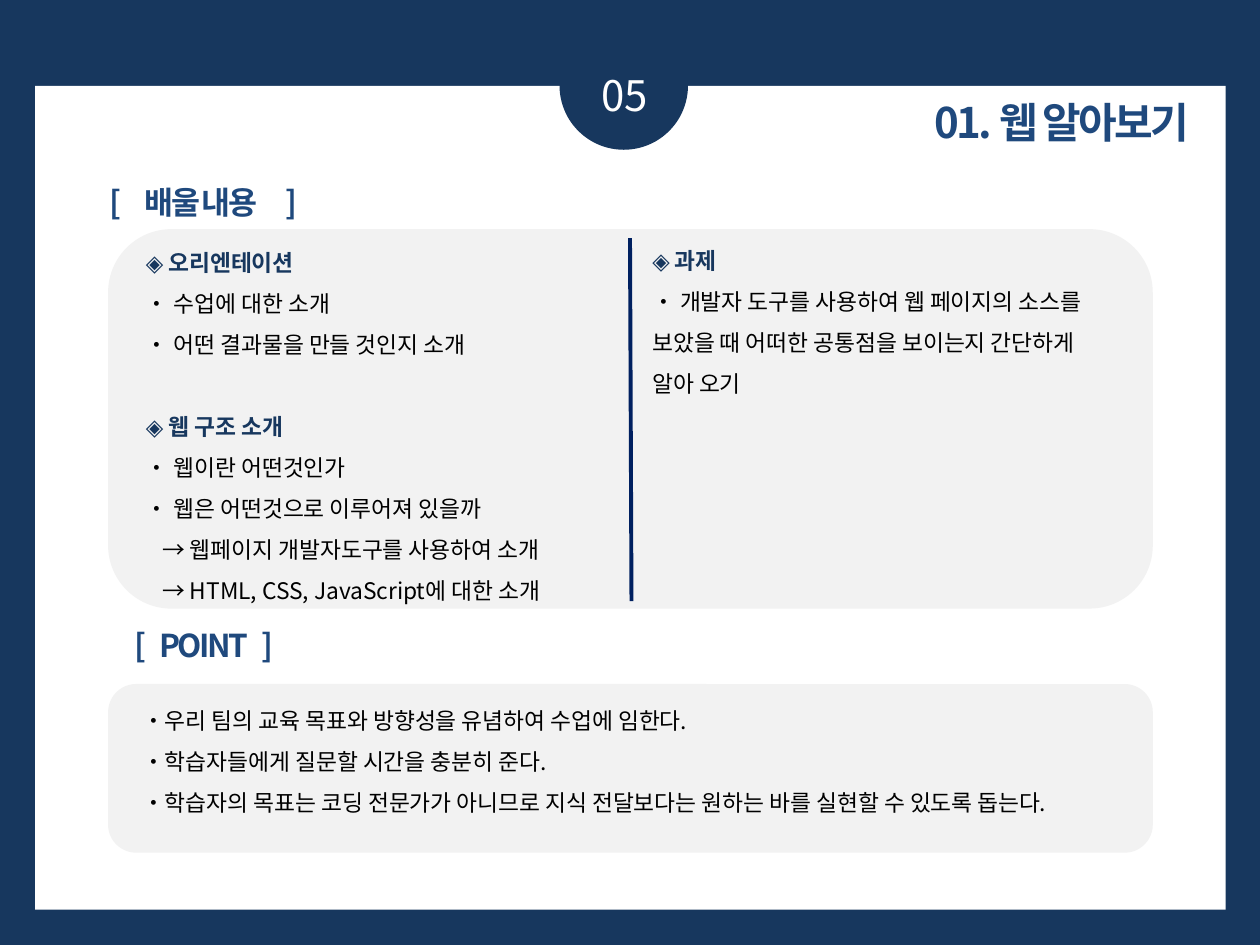
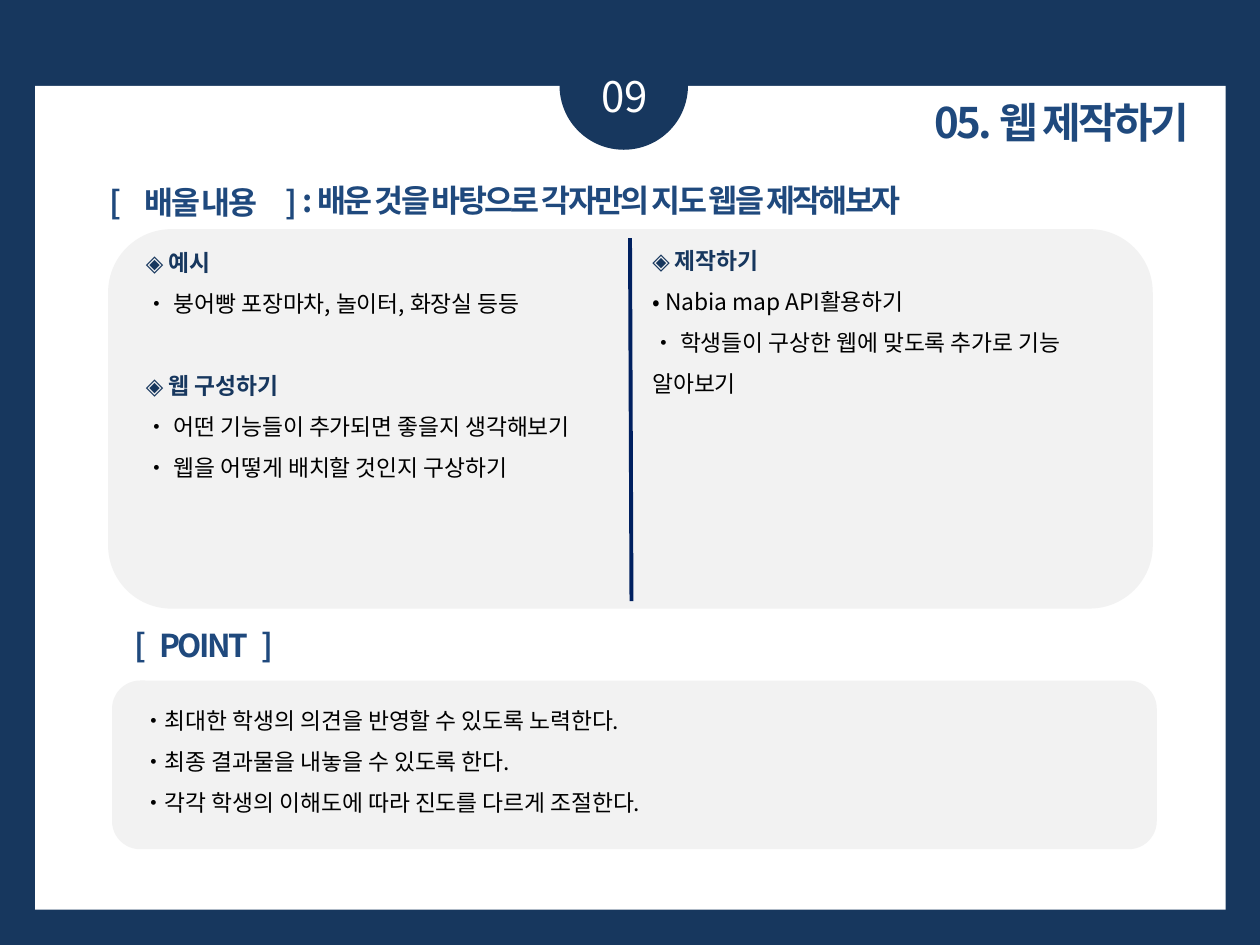
from dataclasses import dataclass

from lxml import etree
from pptx import Presentation
from pptx.dml.color import RGBColor
from pptx.enum.shapes import MSO_CONNECTOR, MSO_SHAPE
from pptx.enum.text import MSO_AUTO_SIZE, PP_ALIGN
from pptx.oxml.ns import qn
from pptx.util import Cm, Pt

RECT = MSO_SHAPE.RECTANGLE
ROUND = MSO_SHAPE.ROUNDED_RECTANGLE
OVAL = MSO_SHAPE.OVAL
STRAIGHT = MSO_CONNECTOR.STRAIGHT
CENTER, LEFT = PP_ALIGN.CENTER, PP_ALIGN.LEFT
GROW = MSO_AUTO_SIZE.SHAPE_TO_FIT_TEXT


@dataclass(frozen=True)
class Theme:
    """Colours, font and type sizes shared by the slides."""
    navy: str = "17375E"
    blue: str = "1F497D"
    rule: str = "002060"
    paper: str = "FFFFFF"
    panel: str = "F2F2F2"
    ink: str = "000000"
    font: str = "Noto Sans CJK KR"
    title: float = 24
    heading: float = 18
    body: float = 13
    tight: float = -1.5
    leading: float = 1.5
    section_gap: float = 23.4


@dataclass(frozen=True)
class Box:
    """Position and size in centimetres."""
    x: float
    y: float
    w: float
    h: float

    def emu(self) -> tuple:
        """Return the four lengths for python-pptx."""
        return Cm(self.x), Cm(self.y), Cm(self.w), Cm(self.h)


@dataclass(frozen=True)
class Style:
    """Character style of a run."""
    size: float
    color: str
    bold: bool = False
    spacing: float = 0


@dataclass(frozen=True)
class Section:
    """A topic with its bullets and indented details."""
    topic: str
    bullets: tuple
    details: tuple = ()


@dataclass(frozen=True)
class Lesson:
    """Everything that differs between lesson slides."""
    number: str
    number_y: float
    title: str
    goal: str
    left: tuple
    right: tuple
    points: tuple
    point_panel: Box


THEME = Theme()
TITLE = Style(THEME.title, THEME.blue, True, THEME.tight)
HEADING = Style(THEME.heading, THEME.blue, True, THEME.tight)
NUMBER = Style(THEME.title, THEME.paper)
TOPIC = Style(THEME.body, THEME.navy, True)
BODY = Style(THEME.body, THEME.ink)

PAPER = Box(0.71, 1.73, 24, 16.61)
BADGE = Box(11.28, 0.43, 2.59, 2.59)
TITLE_BOX = Box(15.6, 1.83, 11.61, 1.27)
CONTENT_HEADING = Box(-1.7, 3.56, 11.61, 1.02)
POINT_HEADING = Box(-1.7, 12.5, 11.61, 1.02)
GOAL_BOX = Box(5.31, 3.53, 13.64, 1.02)
CONTENT_PANEL = Box(2.18, 4.62, 21.06, 7.65)
LEFT_COLUMN = Box(2.69, 4.62, 9.68, 8.48)
RIGHT_COLUMN = Box(12.9, 4.57, 9.68, 4.32)
POINT_BOX = Box(2.62, 13.84, 20.09, 3.5)
DETAIL_INDENT = 0.33

LESSONS = (
    Lesson(
        "05", 1.27, "01. 웹 알아보기", "",
        (
            Section("오리엔테이션", ("수업에 대한 소개", "어떤 결과물을 만들 것인지 소개")),
            Section(
                "웹 구조 소개",
                ("웹이란 어떤것인가", "웹은 어떤것으로 이루어져 있을까"),
                ("웹페이지 개발자도구를 사용하여 소개", "HTML, CSS, JavaScript에 대한 소개"),
            ),
        ),
        (Section("과제", ("개발자 도구를 사용하여 웹 페이지의 소스를 보았을 때 "
                        "어떠한 공통점을 보이는지 간단하게 알아 오기",)),),
        (
            "우리 팀의 교육 목표와 방향성을 유념하여 수업에 임한다.",
            "학습자들에게 질문할 시간을 충분히 준다.",
            "학습자의 목표는 코딩 전문가가 아니므로 지식 전달보다는 원하는 바를 실현할 수 있도록 돕는다.",
        ),
        Box(2.18, 13.79, 21.06, 3.4),
    ),
    Lesson(
        "09", 1.3, "05. 웹 제작하기", ": 배운 것을 바탕으로 각자만의 지도 웹을 제작해보자",
        (
            Section("예시", ("붕어빵 포장마차, 놀이터, 화장실 등등",)),
            Section("웹 구성하기", ("어떤 기능들이 추가되면 좋을지 생각해보기", "웹을 어떻게 배치할 것인지 구상하기")),
        ),
        (Section("제작하기", ("Nabia map API활용하기", "학생들이 구상한 웹에 맞도록 추가로 기능 알아보기")),),
        (
            "최대한 학생의 의견을 반영할 수 있도록 노력한다.",
            "최종 결과물을 내놓을 수 있도록 한다.",
            "각각 학생의 이해도에 따라 진도를 다르게 조절한다.",
        ),
        Box(2.26, 13.72, 21.06, 3.4),
    ),
)


def add_run(p, text: str, style: Style) -> None:
    """Append a styled run to a paragraph."""
    r = p.add_run()
    r.text = text
    r.font.name = THEME.font
    r.font.size = Pt(style.size)
    r.font.bold = style.bold
    r.font.color.rgb = RGBColor.from_string(style.color)
    rpr = r.font._element
    etree.SubElement(rpr, qn("a:ea"), typeface=THEME.font)
    if style.spacing:
        rpr.set("spc", str(round(style.spacing * 100)))


def add_panel(s, kind, box: Box, color: str) -> None:
    """Draw a flat filled shape without an outline."""
    sp = s.shapes.add_shape(kind, *box.emu())
    sp.shadow.inherit = False
    sp.fill.solid()
    sp.fill.fore_color.rgb = RGBColor.from_string(color)
    sp.line.fill.background()


def add_frame(s, box: Box):
    """Add a wrapping text box and return its text frame."""
    tf = s.shapes.add_textbox(*box.emu()).text_frame
    tf.word_wrap = True
    tf.auto_size = GROW
    return tf


def add_label(s, box: Box, text: str, style: Style) -> None:
    """Add one centred line of text."""
    p = add_frame(s, box).paragraphs[0]
    p.alignment = CENTER
    add_run(p, text, style)


def add_heading(s, box: Box, text: str, before: float, after: float) -> None:
    """Add a bracketed heading with set gaps inside the brackets."""
    p = add_frame(s, box).paragraphs[0]
    p.alignment = CENTER
    for part, spacing in (("[", THEME.tight), (" ", before), (text, THEME.tight),
                          (" ", after), ("]", THEME.tight)):
        add_run(p, part, Style(THEME.heading, THEME.blue, True, spacing))


def add_line(tf, text: str, style: Style, indent: float = 0, gap: float = 0) -> None:
    """Add a body paragraph, filling the first one if it is unused."""
    first = tf.paragraphs[0]
    p = tf.add_paragraph() if first.runs else first
    p.alignment = LEFT
    p.line_spacing = THEME.leading
    if gap:
        p.space_before = Pt(gap)
    if indent:
        p._p.get_or_add_pPr().set("marL", str(Cm(indent)))
    add_run(p, text, style)


def add_sections(s, box: Box, sections: tuple) -> None:
    """Fill a column with topics, bullets and details."""
    tf = add_frame(s, box)
    for i, section in enumerate(sections):
        add_line(tf, f"◈ {section.topic}", TOPIC, gap=THEME.section_gap if i else 0)
        for bullet in section.bullets:
            add_line(tf, f"• {bullet}", BODY)
        for detail in section.details:
            add_line(tf, f"→ {detail}", BODY, DETAIL_INDENT)


def add_divider(s) -> None:
    """Draw the rule between the two columns."""
    line = s.shapes.add_connector(STRAIGHT, Cm(12.7), Cm(4.8), Cm(12.73), Cm(12.12))
    line.line.color.rgb = RGBColor.from_string(THEME.rule)
    line.line.width = Pt(2.25)
    etree.SubElement(line._element.spPr, qn("a:effectLst"))


def add_lesson(prs, lesson: Lesson) -> None:
    """Build one lesson slide."""
    s = prs.slides.add_slide(prs.slide_layouts[6])
    s.background.fill.solid()
    s.background.fill.fore_color.rgb = RGBColor.from_string(THEME.navy)
    add_panel(s, RECT, PAPER, THEME.paper)
    add_panel(s, OVAL, BADGE, THEME.navy)
    add_label(s, Box(11.1, lesson.number_y, 3, 1.27), lesson.number, NUMBER)
    add_label(s, TITLE_BOX, lesson.title, TITLE)
    add_heading(s, CONTENT_HEADING, "배울 내용", 9, 12)
    if lesson.goal:
        add_label(s, GOAL_BOX, lesson.goal, HEADING)
    add_panel(s, ROUND, CONTENT_PANEL, THEME.panel)
    add_divider(s)
    add_sections(s, LEFT_COLUMN, lesson.left)
    add_sections(s, RIGHT_COLUMN, lesson.right)
    add_heading(s, POINT_HEADING, "POINT", 3.5, 3.5)
    add_panel(s, ROUND, lesson.point_panel, THEME.panel)
    tf = add_frame(s, POINT_BOX)
    for point in lesson.points:
        add_line(tf, f"•{point}", BODY)


def main() -> None:
    """Create the presentation and save it."""
    prs = Presentation()
    prs.slide_width, prs.slide_height = Cm(25.4), Cm(19.05)
    for lesson in LESSONS:
        add_lesson(prs, lesson)
    prs.save("out.pptx")


if __name__ == "__main__":
    main()
